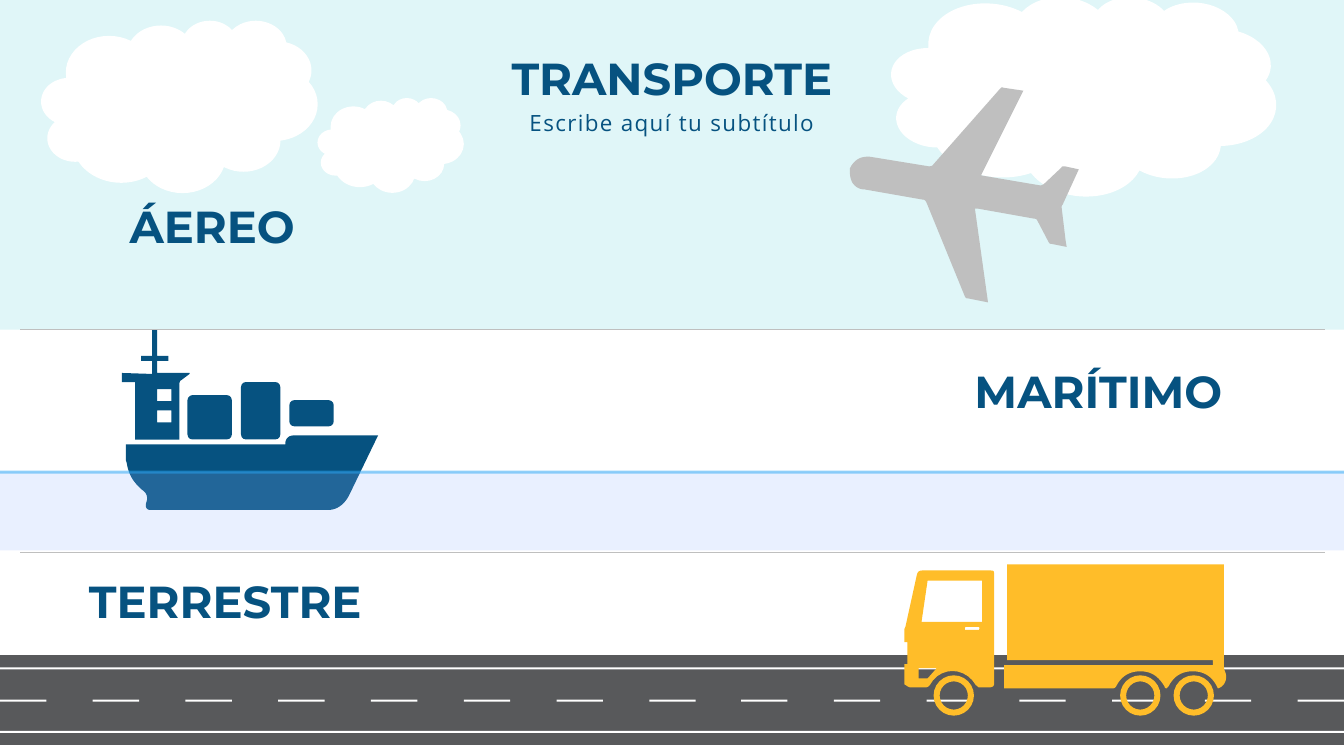
from dataclasses import dataclass
from lxml.etree import SubElement
from pptx import Presentation
from pptx.dml.color import RGBColor
from pptx.enum.shapes import MSO_CONNECTOR, MSO_SHAPE as SHAPE
from pptx.enum.text import MSO_ANCHOR, MSO_AUTO_SIZE, PP_ALIGN
from pptx.oxml.ns import qn
from pptx.util import Emu, Pt

PX = 9144  # 100 px to the inch
WIDTH, HEIGHT = 1333, 750
NAVY, WHITE, GRAY, YELLOW, SKY = "065280", "FFFFFF", "BFBFBF", "FFBD29", "E0F6F8"
ASPHALT, WATER, SURFACE = "58595B", "93B7FF", "28A7F5"

# A contour lists (x, y) corners and (x1, y1, x2, y2, x, y) Bézier curves.
Contour = list[tuple[int, ...]]


@dataclass
class Box:
    x: int
    y: int
    w: int
    h: int
    fill: str
    kind: SHAPE = SHAPE.RECTANGLE
    adjust: float | None = None
    rotation: float = 0
    opacity: int = 100


@dataclass
class Outline:
    contours: list[Contour]
    fill: str


@dataclass
class Heading:
    text: str
    x: int
    y: int


def px(n: float) -> Emu:
    return Emu(round(n * PX))


def rgb(color: str) -> RGBColor:
    return RGBColor.from_string(color)


def paint(sp, color: str, opacity: int = 100) -> None:
    sp.shadow.inherit = False
    sp.line.fill.background()
    sp.fill.solid()
    sp.fill.fore_color.rgb = rgb(color)
    if opacity < 100:
        clr = sp.element.spPr.find(qn("a:solidFill"))[0]
        SubElement(clr, qn("a:alpha")).set("val", str(opacity * 1000))


def draw_box(s, box: Box) -> None:
    sp = s.shapes.add_shape(box.kind, px(box.x), px(box.y), px(box.w), px(box.h))
    if box.adjust is not None:
        sp.adjustments[0] = box.adjust
    sp.rotation = box.rotation
    paint(sp, box.fill, box.opacity)


def flatten(contour: Contour, steps: int = 10) -> list[tuple[int, int]]:
    """Turn a contour into EMU points, sampling its curves."""
    points = []
    for item in contour:
        if len(item) == 2:
            points.append(item)
            continue
        x0, y0 = points[-1]
        x1, y1, x2, y2, x3, y3 = item
        for i in range(1, steps + 1):
            t = i / steps
            a, b, c, d = (1 - t) ** 3, 3 * t * (1 - t) ** 2, 3 * t * t * (1 - t), t ** 3
            points.append((a * x0 + b * x1 + c * x2 + d * x3, a * y0 + b * y1 + c * y2 + d * y3))
    return [(px(x), px(y)) for x, y in points]


def draw_outline(s, outline: Outline) -> None:
    first, *holes = [flatten(c) for c in outline.contours]
    builder = s.shapes.build_freeform(*first[0])
    builder.add_line_segments(first[1:])
    for hole in holes:
        builder.move_to(*hole[0])
        builder.add_line_segments(hole[1:])
    paint(builder.convert_to_shape(), outline.fill)


def draw_divider(s, y: int) -> None:
    line = s.shapes.add_connector(MSO_CONNECTOR.STRAIGHT, px(20), px(y), px(1314), px(y))
    line.line.color.rgb = rgb(GRAY)
    line.line.width = Pt(0.5)
    SubElement(line.element.spPr, qn("a:effectLst"))


def place(sp, x: int, y: int, w: int, h: int) -> None:
    sp.left, sp.top, sp.width, sp.height = px(x), px(y), px(w), px(h)


def write(sp, text: str, font: str, size: int, bold: bool, anchor: MSO_ANCHOR):
    tf = sp.text_frame
    tf.text = text
    tf.word_wrap = True
    tf.auto_size = MSO_AUTO_SIZE.NONE
    tf.vertical_anchor = anchor
    tf.margin_left = tf.margin_right = tf.margin_top = tf.margin_bottom = 0
    p = tf.paragraphs[0]
    p.alignment = PP_ALIGN.CENTER
    p.space_before = Pt(0)
    p.font.name, p.font.size, p.font.bold = font, Pt(size), bold
    p.font.color.rgb = rgb(NAVY)
    return p


def write_heading(sp, heading: Heading) -> None:
    place(sp, heading.x, heading.y, 715, 72)
    write(sp, heading.text, "Montserrat", 32, True, MSO_ANCHOR.TOP)


TITLE = Heading("TRANSPORTE", 309, 50)
SECTIONS = [Heading("ÁEREO", -147, 197), Heading("MARÍTIMO", 732, 361), Heading("TERRESTRE", -134, 569)]

CABIN = Outline([
    [(121, 370), (151, 371), (151, 358), (140, 358), (140, 353), (151, 353), (151, 327), (156, 327),
     (156, 353), (167, 353), (167, 358), (156, 358), (156, 370), (188, 370), (188, 371), (180, 377),
     (178, 378, 178, 380, 178, 382), (178, 436), (134, 436), (134, 379), (121, 379), (121, 370)],
    [(156, 386), (156, 398), (170, 398), (170, 386), (156, 386)],
    [(170, 407), (156, 407), (156, 419), (170, 419), (170, 407)]], NAVY)
HULL = Outline([
    [(375, 432), (346, 492), (341, 501, 334, 506, 325, 506), (150, 506), (145, 506, 144, 503, 145, 499),
     (147, 494, 146, 489, 141, 486), (134, 480, 129, 473, 127, 465), (126, 462, 126, 459, 125, 457),
     (125, 441), (283, 441), (283, 439), (284, 434, 287, 432, 292, 432), (375, 432)]], NAVY)
CONTAINERS = [Box(x, y, w, h, NAVY, SHAPE.ROUNDED_RECTANGLE, 5 / min(w, h))
              for x, y, w, h in [(239, 379, 39, 57), (186, 392, 44, 44), (287, 397, 44, 26)]]

CLOUDS = [Box(41, 20, 274, 171, WHITE, SHAPE.CLOUD), Box(315, 97, 145, 94, WHITE, SHAPE.CLOUD),
          Box(883, -7, 383, 201, WHITE, SHAPE.CLOUD, rotation=4.7)]
PLANE = Outline([
    [(843, 171), (843, 175, 844, 179, 846, 182), (849, 186, 853, 188, 858, 188), (915, 198),
     (917, 198, 918, 199, 919, 201), (957, 294), (958, 296, 959, 296, 960, 296), (980, 300), (967, 207),
     (970, 207), (1026, 217), (1027, 217, 1028, 217, 1029, 219), (1040, 240),
     (1041, 242, 1042, 242, 1043, 242), (1058, 245), (1057, 239), (1053, 206),
     (1053, 205, 1053, 204, 1054, 203), (1070, 168), (1056, 165), (1055, 165, 1053, 165, 1053, 166),
     (1035, 183), (1034, 183, 1033, 184, 1032, 184), (973, 174), (1015, 90), (995, 87),
     (994, 86, 993, 87, 992, 88), (925, 164), (924, 165, 922, 165, 921, 165), (866, 156),
     (856, 154, 848, 157, 843, 167), (843, 171)]], GRAY)

SEA = [Box(0, 468, WIDTH, 78, WATER, opacity=20), Box(0, 467, WIDTH, 3, SURFACE, opacity=50)]
ROAD = [Box(0, 650, WIDTH, 89, ASPHALT)] + [Box(0, y, WIDTH, 2, WHITE) for y in (662, 725)]
DASHES = [Box(round(i * 1287 / 14), 694, 46, 2, WHITE) for i in range(15)]

TRUCK_CAB = Outline([
    [(897, 679), (899, 680, 901, 682, 903, 682), (918, 682), (920, 682, 921, 681, 922, 680),
     (932, 661, 957, 661, 968, 680), (969, 680, 970, 682, 971, 682), (981, 682),
     (984, 682, 986, 681, 986, 678), (986, 572), (986, 566, 986, 566, 981, 566), (916, 566),
     (911, 566, 910, 567, 909, 572), (898, 622), (897, 624), (897, 637), (900, 637), (900, 659),
     (897, 659), (897, 679)],
    [(920, 576), (974, 576), (974, 617), (914, 617), (920, 576)],
    [(929, 663), (921, 672), (920, 673), (911, 673), (911, 663), (929, 663)],
    [(971, 625), (957, 625), (957, 622, 957, 622, 959, 622), (969, 622), (971, 622, 972, 622, 971, 625)]],
    YELLOW)
TRUCK_CARGO = Outline([
    [(999, 655), (1203, 655), (1203, 660), (996, 660), (996, 683), (1103, 683),
     (1104, 683, 1106, 683, 1107, 681), (1112, 671, 1120, 666, 1131, 666),
     (1142, 666, 1149, 671, 1155, 681), (1155, 682, 1156, 683, 1157, 683),
     (1157, 683, 1158, 682, 1159, 681), (1164, 671, 1172, 666, 1183, 666),
     (1194, 666, 1202, 671, 1207, 681), (1208, 683), (1215, 681, 1218, 673, 1215, 666),
     (1214, 664, 1214, 663, 1214, 661), (1214, 560), (999, 560), (999, 655)]], YELLOW)
WHEELS = [Box(x - 20, 670, 40, 40, YELLOW, SHAPE.DONUT, 0.15) for x in (946, 1131, 1184)]


def main() -> None:
    prs = Presentation()
    prs.slide_width, prs.slide_height = px(WIDTH), px(HEIGHT)
    s = prs.slides.add_slide(prs.slide_layouts[0])
    title, subtitle = s.placeholders

    for item in [CABIN, HULL, *CONTAINERS, Box(0, 0, WIDTH, 327, SKY)]:
        draw(s, item)

    write_heading(title, TITLE)
    place(subtitle, 416, 103, 501, 37)
    p = write(subtitle, "Escribe aquí tu subtítulo", "Open Sans", 16, False, MSO_ANCHOR.MIDDLE)
    p.runs[0].font._element.set("spc", "100")
    for sp in (title, subtitle):
        s.shapes.element.append(sp.element)  # bring in front of the sky

    for y in (327, 548):
        draw_divider(s, y)
    for heading in SECTIONS:
        write_heading(s.shapes.add_textbox(0, 0, 0, 0), heading)
    for item in [*CLOUDS, PLANE, *SEA, *ROAD, *DASHES, TRUCK_CAB, TRUCK_CARGO, *WHEELS]:
        draw(s, item)
    prs.save("out.pptx")


def draw(s, item: Box | Outline) -> None:
    if isinstance(item, Box):
        draw_box(s, item)
    else:
        draw_outline(s, item)


if __name__ == "__main__":
    main()
